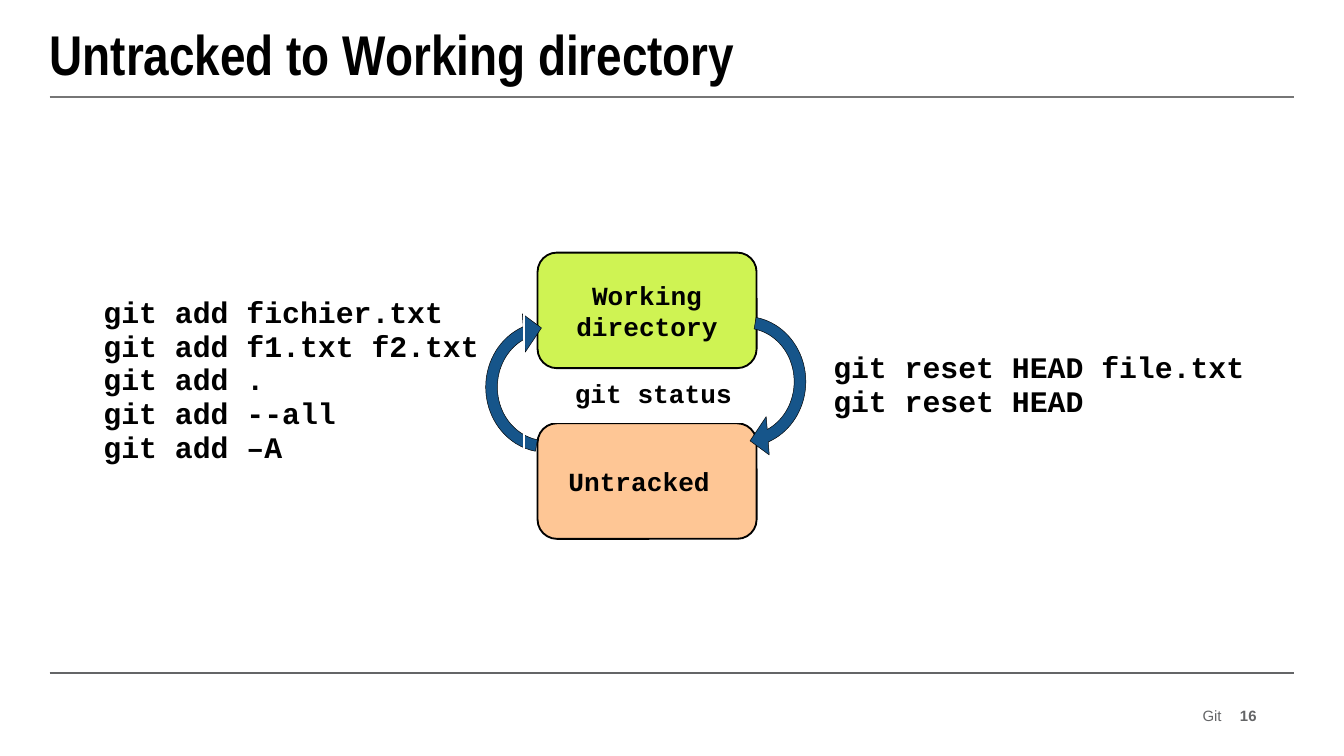
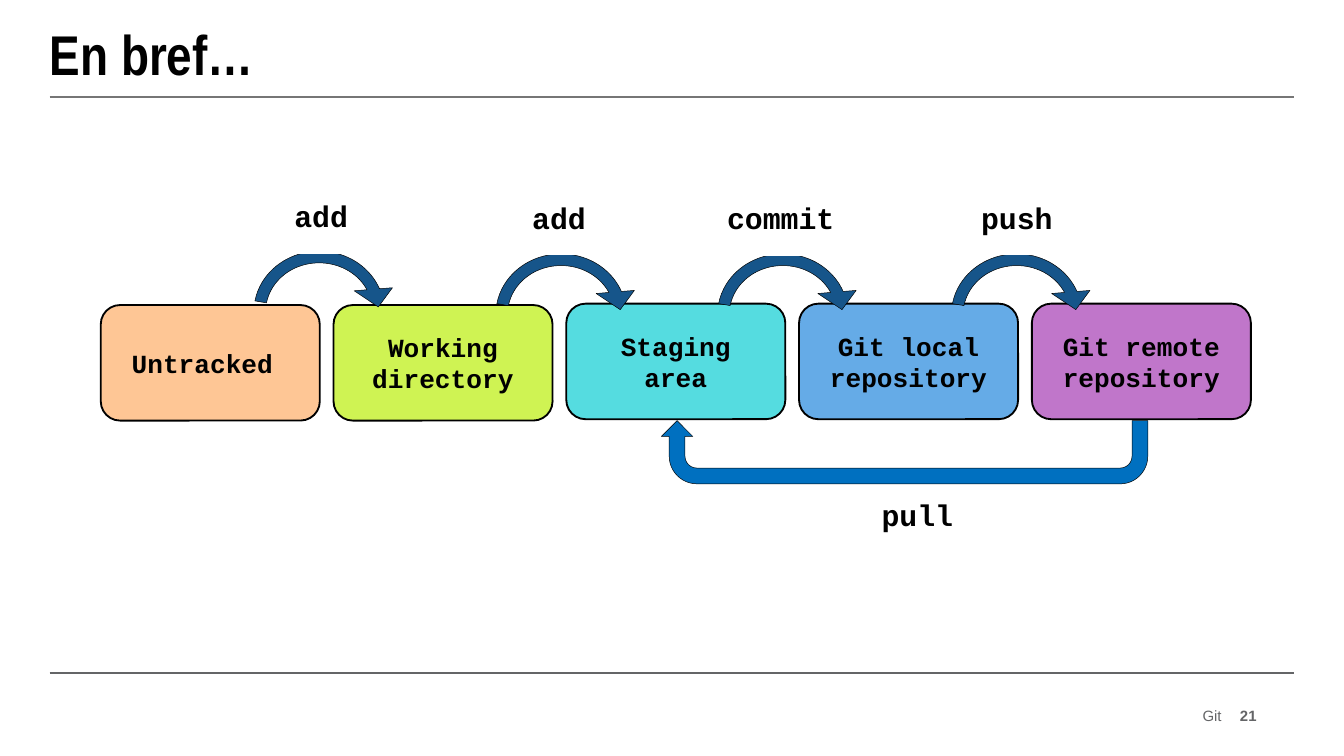
from lxml import etree
from pptx import Presentation
from pptx.dml.color import RGBColor
from pptx.enum.shapes import MSO_CONNECTOR, MSO_SHAPE
from pptx.enum.text import MSO_ANCHOR, PP_ALIGN
from pptx.oxml.ns import qn
from pptx.util import Pt

LEFT, CENTER, RIGHT = PP_ALIGN.LEFT, PP_ALIGN.CENTER, PP_ALIGN.RIGHT
MIDDLE = MSO_ANCHOR.MIDDLE
STRAIGHT = MSO_CONNECTOR.STRAIGHT
ROUNDED = MSO_SHAPE.ROUNDED_RECTANGLE
CIRCULAR_ARROW, U_TURN_ARROW = MSO_SHAPE.CIRCULAR_ARROW, MSO_SHAPE.U_TURN_ARROW

COLORS = {
    "text": "000000", "footer": "646567", "title_rule": "767676",
    "border": "FFFFFF", "untracked": "FEC695", "working": "CFF353",
    "staging": "55DCE0", "local": "65ABE7", "remote": "C076CA",
    "arrow": "16558A", "pull": "0070C0",
}
CODE_FONT = "Courier New"
BOX_W, BOX_H = 117.36, 61.92
BOX_LEFT, BOX_STEP = 54, 124.7
ARROW_W, ARROW_H = 84.24, 79.2
ARROW_ADJ = [0.079, 10.756, 202.483, 113.73, 0.13]
U_TURN_ADJ = [0.25, 0.25, 0.25, 0.438, 1]
CELL_BORDERS = [("lnL", 1), ("lnR", 1), ("lnT", 1), ("lnB", 3)]

# Boxes: text, colour, left, top. Arrows: left, top, rotation.
# Labels: text, left, top, width, height, size.
SLIDES = [
    {
        "title": "Untracked to Working directory",
        "page": "16",
        "boxes": [
            ("Untracked ", "untracked", 288, 226.8),
            ("Working directory", "working", 288, 135.36),
        ],
        "arrows": [(250.56, 167.76, 270), (357.12, 164.88, 90)],
        "labels": [
            ("git add fichier.txt\ngit add f1.txt f2.txt\ngit add .\n"
             "git add --all\ngit add –A", 48.24, 156.24, 232.56, 102.96, 16),
            ("git reset HEAD file.txt\ngit reset HEAD",
             439.2, 185.76, 260.64, 45.36, 16),
            (" git status", 292.32, 200.88, 113.04, 24.48, 14),
        ],
    },
    {
        "title": "En bref…",
        "page": "21",
        "boxes": [
            (text, color, BOX_LEFT + BOX_STEP * i, top)
            for i, (text, color, top) in enumerate([
                ("Untracked ", "untracked", 163.44),
                ("Working directory", "working", 163.44),
                ("Staging area", "staging", 162.72),
                ("Git local repository", "local", 162.72),
                ("Git remote repository", "remote", 162.72),
            ])
        ],
        "arrows": [(128.88, 127.44, 0), (258.48, 128.88, 0),
                   (377.28, 128.88, 0), (502.56, 128.88, 0)],
        "labels": [
            ("add", 150.48, 105.12, 45.36, 29.52, 16),
            ("add", 277.92, 105.84, 45.36, 29.52, 16),
            ("commit", 382.32, 105.84, 84.24, 30.24, 16),
            ("push", 518.4, 105.84, 56.88, 29.52, 16),
            ("pull", 465.12, 264.96, 94.32, 29.52, 16),
        ],
    },
]


def write(tf, text, size, font=CODE_FONT, color="text", bold=True, align=LEFT):
    tf.text = text
    for p in tf.paragraphs:
        p.alignment = align
        for r in p.runs:
            r.font.name = font
            r.font.size = Pt(size)
            r.font.bold = bold
            r.font.color.rgb = RGBColor.from_string(COLORS[color])


def add_filled(s, kind, left, top, width, height, color, line_width, adj=()):
    """Add a filled preset shape with a black outline and no shadow."""
    sp = s.shapes.add_shape(kind, Pt(left), Pt(top), Pt(width), Pt(height))
    sp.shadow.inherit = False
    sp.fill.solid()
    sp.fill.fore_color.rgb = RGBColor.from_string(COLORS[color])
    sp.line.color.rgb = RGBColor.from_string(COLORS["text"])
    sp.line.width = Pt(line_width)
    for i, value in enumerate(adj):
        sp.adjustments[i] = value
    return sp


prs = Presentation()
prs.slide_width, prs.slide_height = Pt(720), Pt(405)

for content in SLIDES:
    s = prs.slides.add_slide(prs.slide_layouts[6])

    for y, color in [(360.72, "footer"), (51.84, "title_rule")]:
        rule = s.shapes.add_connector(STRAIGHT, Pt(26.64), Pt(y), Pt(693.36), Pt(y))
        rule.line.color.rgb = RGBColor.from_string(COLORS[color])
        rule.line.width = Pt(1)
        etree.SubElement(rule._element.spPr, qn("a:effectLst"))

    # Title, footer and page number
    for text, left, top, width, height, size, font, color, bold, align in [
        (content["title"], 26.64, 6.48, 666, 43.92, 30, "Arial Narrow", "text", True, LEFT),
        ("Git", 496.08, 378, 158.4, 10.8, 8, "Arial", "footer", False, RIGHT),
        (content["page"], 658.8, 378, 14.4, 10.8, 8, "Arial", "footer", True, RIGHT),
    ]:
        tf = s.shapes.add_textbox(Pt(left), Pt(top), Pt(width), Pt(height)).text_frame
        tf.margin_left = tf.margin_right = tf.margin_top = tf.margin_bottom = 0
        tf.word_wrap = True
        tf.vertical_anchor = MIDDLE
        write(tf, text, size, font, color, bold, align)

    for text, color, left, top in content["boxes"]:
        tf = add_filled(s, ROUNDED, left, top, BOX_W, BOX_H, color, 1).text_frame
        tf.margin_left = tf.margin_right = tf.margin_top = tf.margin_bottom = Pt(7.2)
        tf.word_wrap = True
        tf.vertical_anchor = MIDDLE
        write(tf, text, 14, align=CENTER)

    for left, top, rotation in content["arrows"]:
        sp = add_filled(s, CIRCULAR_ARROW, left, top, ARROW_W, ARROW_H,
                        "arrow", 0.25, ARROW_ADJ)
        sp.rotation = rotation

    for text, left, top, width, height, size in content["labels"]:
        table = s.shapes.add_table(1, 1, Pt(left), Pt(top), Pt(width), Pt(height)).table
        table.first_row = table.horz_banding = False
        cell = table.cell(0, 0)
        cell.fill.background()
        write(cell.text_frame, text, size)
        tc_pr = cell._tc.get_or_add_tcPr()
        for i, (side, border_width) in enumerate(CELL_BORDERS):
            ln = etree.Element(qn(f"a:{side}"), w=str(Pt(border_width)))
            fill = etree.SubElement(ln, qn("a:solidFill"))
            etree.SubElement(fill, qn("a:srgbClr"), val=COLORS["border"])
            tc_pr.insert(i, ln)

# Pull arrow from the remote repository back to the staging area
pull = add_filled(s, U_TURN_ARROW, 354.24, 225.36, 260.64, 33.84,
                  "pull", 0.25, U_TURN_ADJ)
pull.rotation = 180

prs.save("out.pptx")
